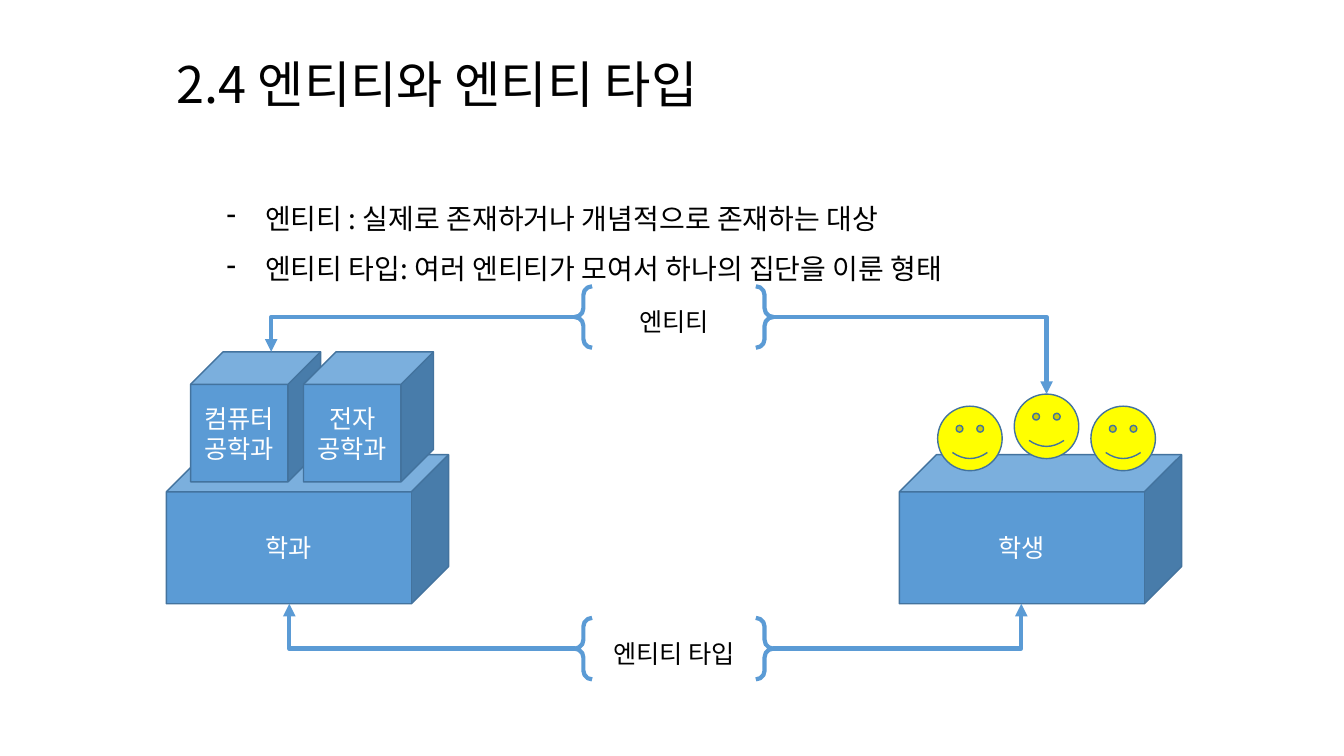
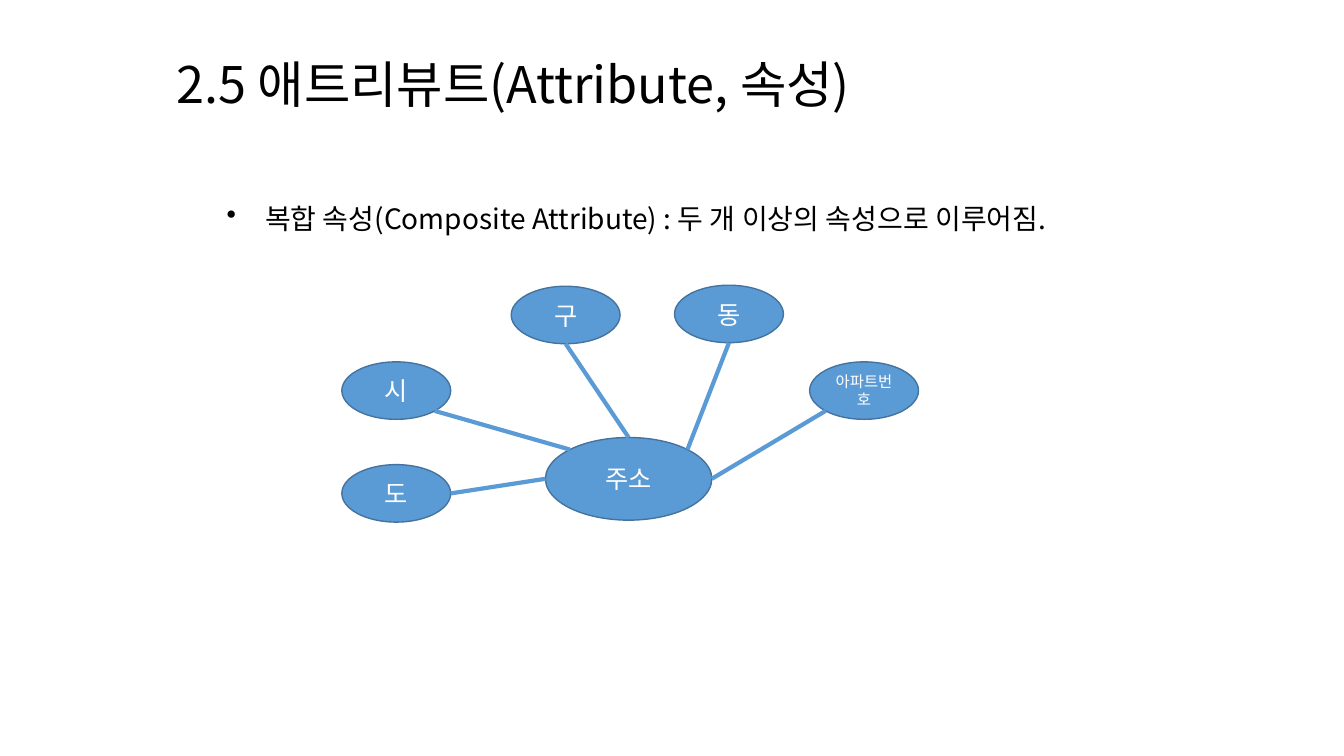
from dataclasses import dataclass
from math import cos, radians, sin

from pptx import Presentation
from pptx.dml.color import RGBColor
from pptx.enum.shapes import MSO_CONNECTOR, MSO_SHAPE
from pptx.enum.text import MSO_ANCHOR, MSO_AUTO_SIZE, PP_ALIGN
from pptx.oxml.ns import qn
from pptx.util import Inches, Pt

CUBE = MSO_SHAPE.CUBE
SMILE = MSO_SHAPE.SMILEY_FACE
BRACE = MSO_SHAPE.LEFT_BRACE.DOUBLE_BRACE
OVAL = MSO_SHAPE.OVAL
ELBOW = MSO_CONNECTOR.ELBOW
LINE = MSO_CONNECTOR.STRAIGHT
LEFT = PP_ALIGN.LEFT
CENTER = PP_ALIGN.CENTER
TOP = MSO_ANCHOR.TOP
MIDDLE = MSO_ANCHOR.MIDDLE
FIXED = MSO_AUTO_SIZE.NONE
GROW = MSO_AUTO_SIZE.SHAPE_TO_FIT_TEXT

FONT = "Noto Sans CJK KR"
COLORS = {
    "blue": "5B9BD5",
    "edge": "43739E",
    "yellow": "FFFF00",
    "black": "000000",
    "white": "FFFFFF",
}


@dataclass
class Node:
    kind: object
    left: float
    top: float
    width: float
    height: float
    text: str = ""
    size: int = 18
    fill: str = "blue"

    def site(self, angle: int) -> tuple[float, float]:
        turn = radians(angle)
        return (
            self.left + self.width / 2 * (1 + cos(turn)),
            self.top + self.height / 2 * (1 - sin(turn)),
        )


@dataclass
class Arrow:
    brace: str
    side: int
    goal: str
    port: int
    x: float
    y: float


@dataclass
class Link:
    node: str
    start: int
    end: int


def color(name: str) -> RGBColor:
    return RGBColor.from_string(COLORS[name])


def assign(target, values: dict) -> None:
    for name, value in values.items():
        setattr(target, name, value)


def write(frame, text: str, size: int, tint: str, align) -> None:
    frame.text = text
    for para in frame.paragraphs:
        para.alignment = align
        for run in para.runs:
            assign(run.font, {"name": FONT, "size": Pt(size)})
            run.font.color.rgb = color(tint)
            props = run.font._element
            east = props.makeelement(qn("a:ea"), {"typeface": FONT})
            props.append(east)


def stroke(line, tint: str, width: int) -> None:
    line.color.rgb = color(tint)
    line.width = Pt(width)


def place(shape, left: float, top: float, width: float, height: float) -> None:
    assign(shape, {
        "left": Inches(left),
        "top": Inches(top),
        "width": Inches(width),
        "height": Inches(height),
    })


def start(deck, title: str):
    slide = deck.slides.add_slide(deck.slide_layouts[5])
    shape = slide.shapes.title
    place(shape, 1.65, 0.48, 10.52, 0.71)
    frame = shape.text_frame
    write(frame, title, 36, "black", LEFT)
    assign(frame, {"word_wrap": True, "vertical_anchor": TOP, "auto_size": FIXED})
    return slide


def bullets(slide, lines: list[str], mark: str, height: float) -> None:
    box = slide.shapes.add_textbox(Inches(1.65), Inches(1.78), Inches(9.99), Inches(height))
    frame = box.text_frame
    assign(frame, {"word_wrap": True, "auto_size": GROW})
    write(frame, "\n".join(lines), 20, "black", LEFT)
    for para in frame.paragraphs:
        assign(para, {"level": 1, "line_spacing": 1.5})
        props = para._p.get_or_add_pPr()
        props.set("marL", str(Inches(0.88)))
        props.set("indent", str(Inches(-0.38)))
        props.append(props.makeelement(qn("a:buChar"), {"char": mark}))


def draw(slide, node: Node):
    shape = slide.shapes.add_shape(
        node.kind, Inches(node.left), Inches(node.top), Inches(node.width), Inches(node.height)
    )
    shape.shadow.inherit = False
    if node.kind == BRACE:
        shape.adjustments[0] = 0.142
        shape.fill.background()
        stroke(shape.line, "blue", 3)
    else:
        shape.fill.solid()
        shape.fill.fore_color.rgb = color(node.fill)
        stroke(shape.line, "edge", 1)
    if node.text:
        frame = shape.text_frame
        assign(frame, {"word_wrap": True, "vertical_anchor": MIDDLE})
        tint = "black" if node.kind == BRACE else "white"
        write(frame, node.text, node.size, tint, CENTER)
    return shape


def join(slide, kind, begin: tuple[float, float], end: tuple[float, float]):
    line = slide.shapes.add_connector(kind, *(Inches(value) for value in (*begin, *end)))
    stroke(line.line, "blue", 3)
    props = line._element.spPr
    props.append(props.makeelement(qn("a:effectLst"), {}))
    return line


def point(slide, arrow: Arrow, nodes: dict[str, Node], shapes: dict) -> None:
    brace = nodes[arrow.brace]
    begin = brace.site(180 if arrow.side == 1 else 0)
    line = join(slide, ELBOW, begin, (arrow.x, arrow.y))
    line.begin_connect(shapes[arrow.brace], arrow.side)
    line.end_connect(shapes[arrow.goal], arrow.port)
    assign(line, {
        "begin_x": Inches(begin[0]),
        "begin_y": Inches(begin[1]),
        "end_x": Inches(arrow.x),
        "end_y": Inches(arrow.y),
    })
    props = line._element.spPr
    props.find(qn("a:prstGeom")).set("prst", "bentConnector2")
    edge = props.find(qn("a:ln"))
    edge.append(edge.makeelement(qn("a:tailEnd"), {"type": "triangle"}))


def types(deck) -> None:
    slide = start(deck, "2.4 엔티티와 엔티티 타입")
    bullets(slide, [
        "엔티티 : 실제로 존재하거나 개념적으로 존재하는 대상",
        "엔티티 타입: 여러 엔티티가 모여서 하나의 집단을 이룬 형태",
    ], "-", 1.03)
    nodes = {
        "major": Node(CUBE, 1.65, 4.51, 2.8, 1.48, "학과"),
        "computer": Node(CUBE, 1.89, 3.49, 1.29, 1.29, "컴퓨터공학과"),
        "electron": Node(CUBE, 3.01, 3.49, 1.29, 1.29, "전자\n공학과"),
        "student": Node(CUBE, 8.92, 4.51, 2.8, 1.48, "학생"),
        "type": Node(BRACE, 5.7, 6.13, 1.97, 0.61, "엔티티 타입"),
        "item": Node(BRACE, 5.7, 2.84, 1.97, 0.61, "엔티티"),
    }
    for index, top in enumerate((4.03, 3.91, 4.03)):
        nodes[f"face{index}"] = Node(SMILE, 9.3 + 0.76 * index, top, 0.64, 0.64, fill="yellow")
    shapes = {name: draw(slide, node) for name, node in nodes.items()}
    for arrow in (
        Arrow("type", 3, "student", 3, 10.13, 5.99),
        Arrow("type", 1, "major", 3, 2.87, 5.99),
        Arrow("item", 3, "face1", 0, 10.38, 3.91),
        Arrow("item", 1, "computer", 0, 2.69, 3.49),
    ):
        point(slide, arrow, nodes, shapes)


def traits(deck) -> None:
    slide = start(deck, "2.5 애트리뷰트(Attribute, 속성)")
    bullets(slide, [
        "복합 속성(Composite Attribute) : 두 개 이상의 속성으로 이루어짐.",
    ], "•", 0.53)
    small = (1.08, 0.57)
    nodes = {
        "district": Node(OVAL, 5.07, 2.84, *small, "구"),
        "address": Node(OVAL, 5.41, 4.34, 1.65, 0.82, "주소"),
        "province": Node(OVAL, 3.39, 4.61, *small, "도"),
        "number": Node(OVAL, 8.03, 3.59, *small, "아파트번호", 11),
        "village": Node(OVAL, 6.69, 2.83, *small, "동"),
        "city": Node(OVAL, 3.39, 3.59, *small, "시"),
    }
    for node in nodes.values():
        draw(slide, node)
    for link in (
        Link("city", 315, 135),
        Link("village", 270, 45),
        Link("district", 270, 90),
        Link("province", 0, 180),
        Link("number", 225, 0),
    ):
        join(slide, LINE, nodes[link.node].site(link.start), nodes["address"].site(link.end))


def main() -> None:
    deck = Presentation()
    assign(deck, {"slide_width": Inches(13.33), "slide_height": Inches(7.5)})
    types(deck)
    traits(deck)
    deck.save("out.pptx")


main()
